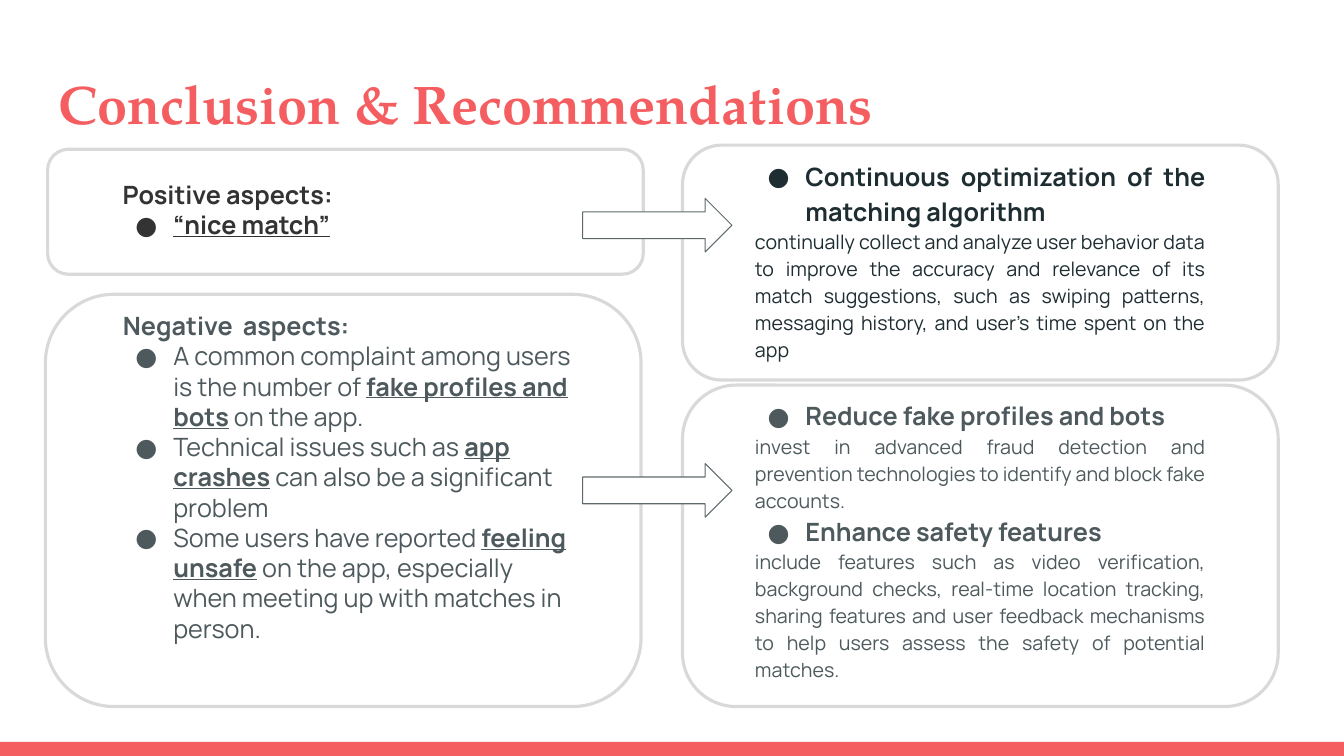
from dataclasses import dataclass

from lxml.etree import SubElement
from pptx import Presentation
from pptx.dml.color import RGBColor
from pptx.enum.shapes import MSO_SHAPE as Preset
from pptx.enum.text import MSO_ANCHOR as Anchor, MSO_AUTO_SIZE as AutoSize, PP_ALIGN as Align
from pptx.oxml.ns import qn
from pptx.util import Pt


@dataclass(frozen=True)
class Theme:
    """Colours, fonts and type sizes of the slide."""
    coral: str = "F55E61"
    ink: str = "1E2D31"
    charcoal: str = "333333"
    border: str = "D9D9D9"
    arrow_line: str = "5E696C"
    white: str = "FFFFFF"
    title_font: str = "TeX Gyre Pagella"
    body_font: str = "Manrope"
    title_size: float = 38.7
    heading_size: float = 18
    detail_size: float = 14


THEME = Theme()
CARD_WIDTH = 425.5
TEXT_WIDTH = 336.2
BULLET_MARGIN, BULLET_INDENT = 36, -27

POSITIVE = [("heading", "Positive aspects:"), ("bullet", "*“nice match”*")]
NEGATIVE = [
    ("heading", "Negative  aspects:"),
    ("bullet", "A common complaint among users is the number of "
               "*fake profiles and bots* on the app."),
    ("bullet", "Technical issues such as *app crashes* can also be a significant problem"),
    ("bullet", "Some users have reported *feeling unsafe* on the app, especially "
               "when meeting up with matches in person."),
]
RECOMMENDATIONS = [
    ("topic", "Continuous optimization of the matching algorithm"),
    ("detail", "continually collect and analyze user behavior data to improve the accuracy "
               "and relevance of its match suggestions, such as swiping patterns, "
               "messaging history, and user’s time spent on the app"),
    ("next topic", "Reduce fake profiles and bots"),
    ("detail", "invest in advanced fraud detection and prevention technologies "
               "to identify and block fake accounts."),
    ("topic", "Enhance safety features"),
    ("detail", "include features such as video verification, background checks, "
               "real-time location tracking, sharing features and user feedback "
               "mechanisms to help users assess the safety of potential matches."),
]

PLAIN = {"line_spacing": 1.0, "space_before": Pt(0), "space_after": Pt(0),
         "alignment": Align.LEFT}
JUSTIFIED = PLAIN | {"line_spacing": 1.15, "alignment": Align.JUSTIFY}
PARAGRAPH_FORMATS = {
    "heading": PLAIN,
    "bullet": PLAIN,
    "topic": JUSTIFIED,
    "next topic": JUSTIFIED | {"space_before": Pt(25)},
    "detail": JUSTIFIED,
}


def set_values(target, values):
    """Set each named attribute on the target."""
    for name, value in values.items():
        setattr(target, name, value)


def place(shape, box):
    """Move a shape to a box given in points."""
    set_values(shape, dict(zip(("left", "top", "width", "height"), map(Pt, box))))


def add_shape(slide, preset, box, fill, line=None, line_width=0):
    """Add a flat preset shape, without an outline if no line colour is given."""
    shape = slide.shapes.add_shape(preset, *map(Pt, box))
    shape.shadow.inherit = False
    shape.fill.solid()
    shape.fill.fore_color.rgb = RGBColor.from_string(fill)
    if line:
        shape.line.color.rgb = RGBColor.from_string(line)
        shape.line.width = Pt(line_width)
    else:
        shape.line.fill.background()
    return shape


def add_card(slide, box):
    """Add a rounded card with a mostly transparent white fill."""
    card = add_shape(slide, Preset.ROUNDED_RECTANGLE, box, THEME.white, THEME.border, 2.25)
    card.adjustments[0] = 0.167
    color = card.element.spPr.find(qn("a:solidFill")).find(qn("a:srgbClr"))
    SubElement(color, qn("a:alpha"), val="21000")


def set_bullet(paragraph, bulleted, color):
    """Give a paragraph a round hanging bullet or none."""
    properties = paragraph._p.get_or_add_pPr()
    margin, indent = (BULLET_MARGIN, BULLET_INDENT) if bulleted else (0, 0)
    properties.set("marL", str(Pt(margin)))
    properties.set("indent", str(Pt(indent)))
    if bulleted:
        SubElement(SubElement(properties, qn("a:buClr")), qn("a:srgbClr"), val=color)
        SubElement(properties, qn("a:buFont"), typeface=THEME.body_font)
        SubElement(properties, qn("a:buChar"), char="●")
    else:
        SubElement(properties, qn("a:buNone"))


def fill_frame(shape, inset, anchor):
    """Set up a text frame with equal insets and return it."""
    frame = shape.text_frame
    margins = {f"margin_{side}": Pt(inset) for side in ("left", "top", "right", "bottom")}
    set_values(frame, margins | {"word_wrap": True, "auto_size": AutoSize.NONE,
                                 "vertical_anchor": anchor})
    return frame


def add_list(slide, shape, box, items, color):
    """Fill a text shape with styled paragraphs and bring it to the front."""
    slide.shapes.element.append(shape.element)
    place(shape, box)
    frame = fill_frame(shape, 7.2, Anchor.TOP)
    for index, (kind, text) in enumerate(items):
        paragraph = frame.add_paragraph() if index else frame.paragraphs[0]
        set_values(paragraph, PARAGRAPH_FORMATS[kind])
        set_bullet(paragraph, kind not in ("heading", "detail"), color)
        size = THEME.detail_size if kind == "detail" else THEME.heading_size
        for position, piece in enumerate(text.split("*")):
            if not piece:
                continue
            marked = position % 2 == 1
            run = paragraph.add_run()
            run.text = piece
            set_values(run.font, {"name": THEME.body_font, "size": Pt(size),
                                  "bold": marked or kind not in ("bullet", "detail"),
                                  "underline": marked})
            run.font.color.rgb = RGBColor.from_string(color)


def add_title(slide, box):
    """Place and format the slide title."""
    title = slide.shapes.title
    place(title, box)
    frame = fill_frame(title, 9.4, Anchor.MIDDLE)
    frame.text = "Conclusion & Recommendations"
    paragraph = frame.paragraphs[0]
    paragraph.alignment = Align.LEFT
    set_values(paragraph.font, {"name": THEME.title_font, "size": Pt(THEME.title_size),
                                "bold": True})
    paragraph.font.color.rgb = RGBColor.from_string(THEME.coral)


def add_positive(slide, box):
    """Add the card of positive aspects with its text on top."""
    left, top, _, height = box
    add_card(slide, box)
    text = slide.shapes.add_textbox(0, 0, 0, 0)
    add_list(slide, text, (left + 46.6, top + 14.4, TEXT_WIDTH, height - 14.4),
             POSITIVE, THEME.charcoal)


def add_negative(slide, box, body):
    """Add the negative aspects under their translucent card."""
    left, top, _, height = box
    add_list(slide, body, (left + 48.2, top + 4.4, TEXT_WIDTH, height - 23), NEGATIVE, THEME.ink)
    add_card(slide, box)


def add_recommendations(slide, box, body):
    """Add two stacked cards, with one text over the first and under the second."""
    left, top, width, height = box
    upper_height, gap = 167.8, 3.6
    lower_top = top + upper_height + gap
    add_card(slide, (left, top, width, upper_height))
    add_list(slide, body, (left + 44.6, top + 0.9, TEXT_WIDTH, height - 10),
             RECOMMENDATIONS, THEME.ink)
    add_card(slide, (left, lower_top, width, top + height - lower_top))


def build_slide(presentation):
    """Lay out the conclusion slide."""
    slide = presentation.slides.add_slide(presentation.slide_layouts[3])
    bodies = [shape for shape in slide.placeholders if shape != slide.shapes.title]
    negative_body, recommendation_body = bodies
    add_shape(slide, Preset.RECTANGLE, (0, 529.9, 960, 10.1), THEME.coral)
    add_title(slide, (32.4, 41, 894.2, 65.5))
    add_positive(slide, (34, 106.6, CARD_WIDTH, 89.3))
    add_recommendations(slide, (487.5, 103.7, CARD_WIDTH, 401), recommendation_body)
    add_negative(slide, (32.4, 210.2, CARD_WIDTH, 294.5), negative_body)
    for top in (141.8, 331.2):
        add_shape(slide, Preset.RIGHT_ARROW, (416.2, top, 106.6, 38.2),
                  THEME.white, THEME.arrow_line, 0.75)


def main():
    """Build and save the presentation."""
    presentation = Presentation()
    set_values(presentation, {"slide_width": Pt(960), "slide_height": Pt(540)})
    build_slide(presentation)
    presentation.save("out.pptx")


if __name__ == "__main__":
    main()
